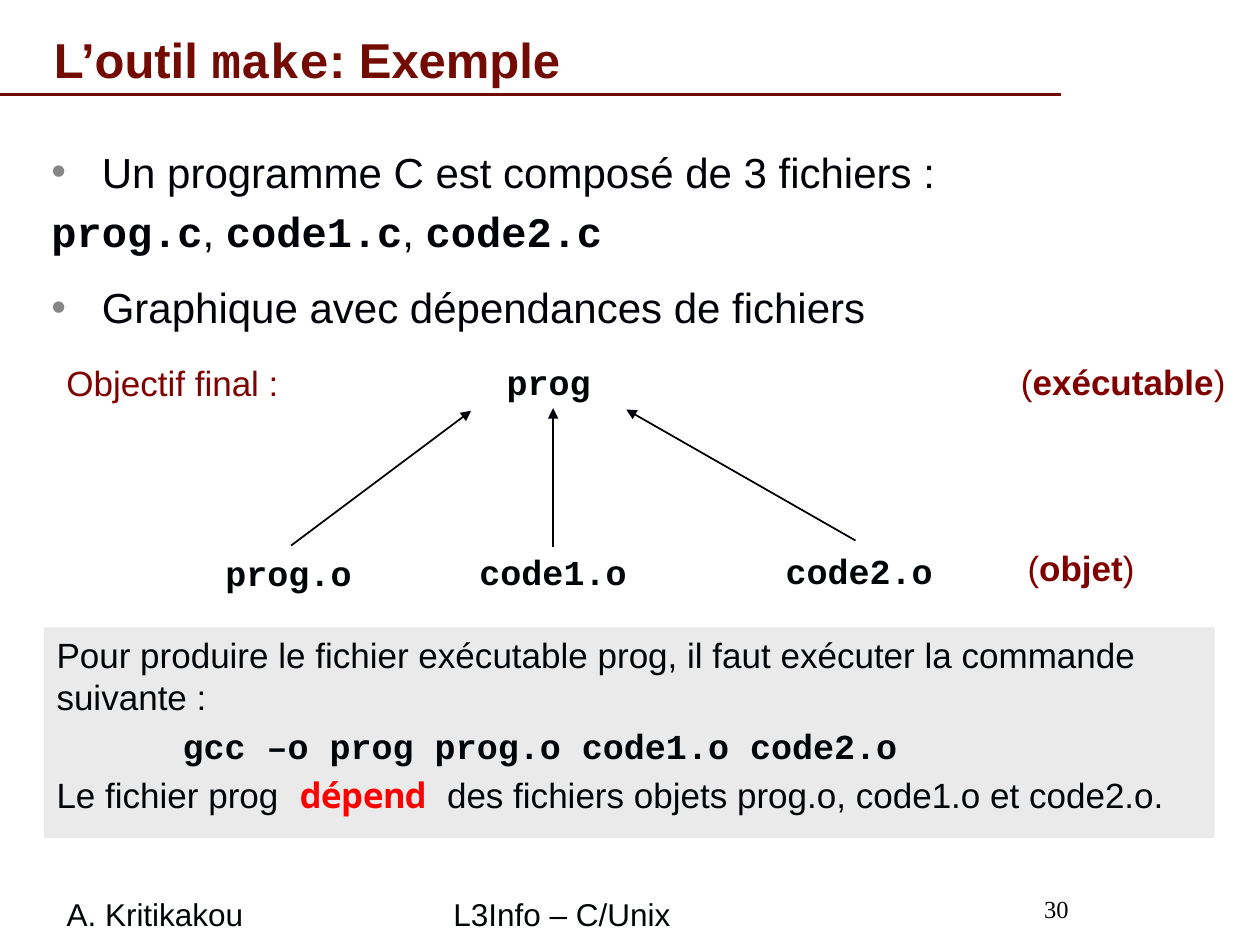
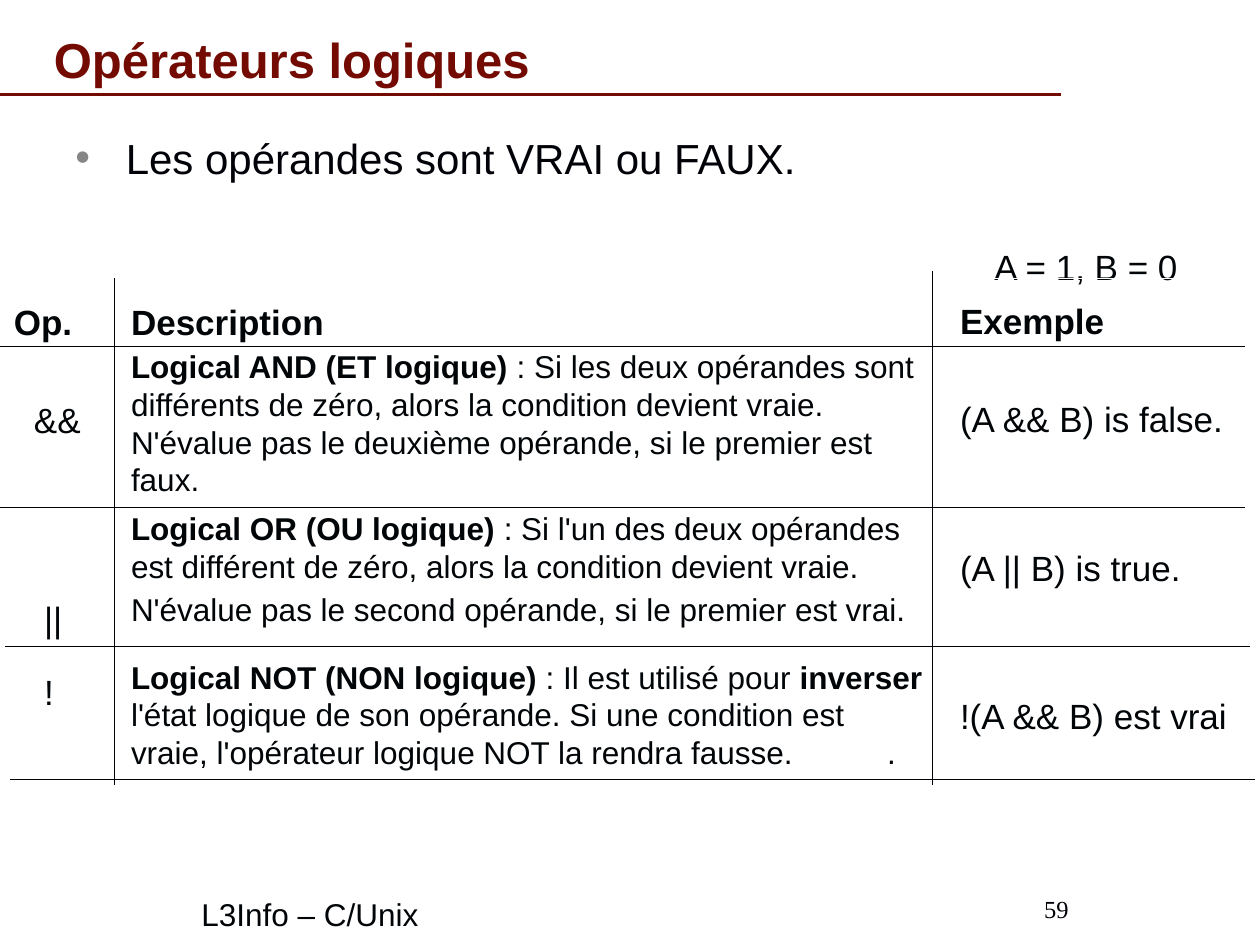
from dataclasses import dataclass, replace

from pptx import Presentation
from pptx.dml.color import RGBColor
from pptx.enum.shapes import MSO_CONNECTOR, MSO_SHAPE
from pptx.enum.text import MSO_ANCHOR, PP_ALIGN
from pptx.oxml.ns import qn
from pptx.util import Pt
from lxml.etree import SubElement

EMU_PER_PX = 9144
SLIDE_BOX = (0, 0, 1000, 750)
TABLE_SPACING = 1.07

MAROON = RGBColor(0x73, 0x0B, 0x03)
DARK_RED = RGBColor(0x80, 0x00, 0x00)
RED = RGBColor(0xFF, 0x00, 0x00)
INK = RGBColor(0x00, 0x02, 0x08)
TEXT = RGBColor(0x01, 0x05, 0x07)
BULLET_GREY = RGBColor(0x86, 0x86, 0x86)
PANEL_GREY = RGBColor(0xEA, 0xEA, 0xEA)


@dataclass(frozen=True)
class Style:
    size: int
    color: RGBColor = TEXT
    font: str = "Arial"
    bold: bool = False


TITLE = Style(28, MAROON, bold=True)
BODY = Style(24, INK)
BODY_CODE = Style(24, INK, "Courier New", True)
NORMAL = Style(20)
STRONG = replace(NORMAL, bold=True)
CODE = replace(STRONG, font="Courier New")
NOTE = Style(20, DARK_RED)
NOTE_STRONG = replace(NOTE, bold=True)
KEYWORD = Style(20, RED, "Noto Sans Mono", True)
DETAIL = Style(18)
DETAIL_STRONG = replace(DETAIL, bold=True)
PAGE_NUMBER = Style(14, INK, "Times New Roman")


@dataclass(frozen=True)
class Para:
    runs: tuple
    before: int = 0
    indent: int = 0
    bullet: bool = False
    tab: int = 0


def px(length):
    return length * EMU_PER_PX


def emu(*lengths):
    return [px(length) for length in lengths]


def add_bullet(properties):
    properties.set("marL", str(px(40)))
    properties.set("indent", str(px(-40)))
    color = SubElement(properties, qn("a:buClr"))
    SubElement(color, qn("a:srgbClr")).set("val", str(BULLET_GREY))
    SubElement(properties, qn("a:buFont")).set("typeface", "Arial")
    SubElement(properties, qn("a:buChar")).set("char", "•")


def write(frame, paras, align=PP_ALIGN.LEFT, spacing=1.0):
    for index, para in enumerate(paras):
        paragraph = frame.add_paragraph() if index else frame.paragraphs[0]
        properties = paragraph._p.get_or_add_pPr()
        if para.bullet:
            add_bullet(properties)
        elif para.indent:
            properties.set("marL", str(px(para.indent)))
        if para.tab:
            stop = SubElement(SubElement(properties, qn("a:tabLst")), qn("a:tab"))
            stop.set("pos", str(px(para.tab)))
            stop.set("algn", "l")
        paragraph.alignment = align
        paragraph.line_spacing = spacing
        paragraph.space_before = Pt(para.before)
        for words, style in para.runs:
            run = paragraph.add_run()
            run.text = words
            run.font.size = Pt(style.size)
            run.font.name = style.font
            run.font.bold = style.bold
            run.font.color.rgb = style.color


def set_frame(shape, paras, align, anchor):
    frame = shape.text_frame
    frame.word_wrap = True
    frame.vertical_anchor = anchor
    frame.margin_left = frame.margin_right = px(10)
    frame.margin_top = frame.margin_bottom = px(5)
    write(frame, paras, align)


def add_text(slide, box, paras, align=PP_ALIGN.LEFT, anchor=MSO_ANCHOR.TOP):
    set_frame(slide.shapes.add_textbox(*emu(*box)), paras, align, anchor)


def add_line(slide, start, end, color, width, arrow=False):
    line = slide.shapes.add_connector(MSO_CONNECTOR.STRAIGHT, *emu(*start, *end))
    line.line.color.rgb = color
    line.line.width = Pt(width)
    if arrow:
        SubElement(line.line._get_or_add_ln(), qn("a:tailEnd")).set("type", "triangle")
    SubElement(line._element.spPr, qn("a:effectLst"))


def add_frame(slide, box, title, footer, number):
    left, top, width, height = box
    bottom = top + height
    add_line(slide, (left, top + 75), (left + 842, top + 75), MAROON, 2.25)
    add_text(slide, (left + 33, top + 17, 850, 58), [Para(title)],
             anchor=MSO_ANCHOR.BOTTOM)
    add_text(slide, (left + 43, bottom - 50, 615, 50), [footer],
             anchor=MSO_ANCHOR.MIDDLE)
    add_text(slide, (left + 693, bottom - 50, 165, 42),
             [Para(((number, PAGE_NUMBER),))], PP_ALIGN.RIGHT, MSO_ANCHOR.MIDDLE)


def add_dependency_graph(slide, box):
    left, top, _, _ = box

    def in_brackets(word):
        return ("(", NOTE), (word, NOTE_STRONG), (")", NOTE)

    labels = [
        ((0, 1, 224, 54), (("Objectif final :", NOTE),)),
        ((317, 0, 187, 54), (("prog", CODE),)),
        ((750, 0, 233, 54), in_brackets("exécutable")),
        ((120, 152, 168, 45), (("prog.o", CODE),)),
        ((284, 151, 260, 45), (("code1.o", CODE),)),
        ((527, 150, 260, 45), (("code2.o", CODE),)),
        ((769, 148, 128, 45), in_brackets("objet")),
    ]
    for (x, y, width, height), runs in labels:
        add_text(slide, (left + x, top + y, width, height), [Para(runs)],
                 PP_ALIGN.CENTER)

    dependencies = [
        ((206, 152), (349, 45)),
        ((414, 153), (414, 43)),
        ((654, 148), (472, 44)),
    ]
    for (x1, y1), (x2, y2) in dependencies:
        add_line(slide, (left + x1, top + y1), (left + x2, top + y2), INK, 1, True)


def add_command_panel(slide, box):
    panel = slide.shapes.add_shape(MSO_SHAPE.RECTANGLE, *emu(*box))
    panel.shadow.inherit = False
    panel.fill.solid()
    panel.fill.fore_color.rgb = PANEL_GREY
    panel.line.fill.background()
    set_frame(panel, [
        Para((("Pour produire le fichier exécutable prog, il faut exécuter "
               "la commande suivante :", NORMAL),)),
        Para((("gcc –o prog prog.o code1.o code2.o", CODE),), before=4, indent=100),
        Para((("Le fichier prog", NORMAL), (" dépend ", KEYWORD),
              ("des fichiers objets prog.o, code1.o et code2.o.", NORMAL)), before=4),
    ], PP_ALIGN.LEFT, MSO_ANCHOR.TOP)


def add_operator_table(slide, box):
    left, top, width, height = box
    widths = (91, 649, 248)
    heights = (54, 128, 110, 106)
    rows = [
        [(11, 18, [Para((("Op.", STRONG),))]),
         (13, 18, [Para((("Description", STRONG),))]),
         (22, 17, [Para((("Exemple", STRONG),))])],
        [(27, 42, [Para((("&&", NORMAL),))]),
         (13, 1, [Para((
             ("Logical AND (ET logique) ", DETAIL_STRONG),
             (": Si les deux opérandes sont différents de zéro, alors la condition "
              "devient vraie. N'évalue pas le deuxième opérande, si le premier est "
              "faux.", DETAIL)))]),
         (22, 41, [Para((("(A && B) is false.", NORMAL),))])],
        [(35, 70, [Para((("||", NORMAL),))]),
         (13, 0, [
             Para((("Logical OR (OU logique) ", DETAIL_STRONG),
                   (": Si l'un des deux opérandes est différent de zéro, alors la "
                    "condition devient vraie.", DETAIL))),
             Para((("N'évalue pas le second opérande, si le premier est vrai.",
                    DETAIL),), before=3)]),
         (22, 30, [Para((("(A || B) is true.", NORMAL),))])],
        [(35, 18, [Para((("!", NORMAL),))]),
         (13, 8, [Para((
             ("Logical NOT (NON logique) ", DETAIL_STRONG),
             (": Il est utilisé pour ", DETAIL), ("inverser", DETAIL_STRONG),
             (" l'état logique de son opérande. Si une condition est vraie, "
              "l'opérateur logique NOT la rendra fausse.\t.", DETAIL)), tab=600)]),
         (22, 37, [Para((("!(A && B) est vrai", NORMAL),))])],
    ]
    table = slide.shapes.add_table(len(rows), len(widths), *emu(*box)).table
    table.first_row = table.horz_banding = False
    for column, column_width in zip(table.columns, widths):
        column.width = px(column_width)
    for row, row_height in zip(table.rows, heights):
        row.height = px(row_height)
    for row_index, row in enumerate(rows):
        for column_index, (indent, drop, paras) in enumerate(row):
            cell = table.cell(row_index, column_index)
            cell.fill.background()
            cell.margin_left, cell.margin_top = emu(indent, drop)
            cell.margin_right = px(4)
            cell.margin_bottom = 0
            cell.vertical_anchor = MSO_ANCHOR.TOP
            write(cell.text_frame, paras, spacing=TABLE_SPACING)

    for index, shift in enumerate((0, 0, 4, 8)):
        y = top + sum(heights[:index + 1])
        add_line(slide, (left + shift, y), (left + shift + width, y), INK, 0.5)
    for index, rise in enumerate((0, 6)):
        x = left + sum(widths[:index + 1])
        add_line(slide, (x, top - rise), (x, top + height + 4), INK, 0.5)


def build_make_slide(slide):
    add_frame(slide, SLIDE_BOX,
              (("L’outil ", TITLE), ("make", replace(TITLE, font="Courier New")),
               (": Exemple", TITLE)),
              Para((("A. Kritikakou\tL3Info – C/Unix", DETAIL),), tab=307), "30")
    add_text(slide, (31, 111, 992, 150), [
        Para((("Un programme C est composé de 3 fichiers :", BODY),), bullet=True),
        Para((("prog.c", BODY_CODE), (", ", BODY), ("code1.c", BODY_CODE),
              (", ", BODY), ("code2.c", BODY_CODE)), before=5),
        Para((("Graphique avec dépendances de fichiers", BODY),), before=15,
             bullet=True),
    ])
    add_dependency_graph(slide, (25, 281, 983, 197))
    add_command_panel(slide, (35, 498, 929, 167))


def build_operators_slide(slide):
    add_frame(slide, SLIDE_BOX, (("Opérateurs logiques", TITLE),),
              Para((("L3Info – C/Unix", DETAIL),), indent=107), "59")
    add_text(slide, (50, 100, 934, 94),
             [Para((("Les opérandes sont VRAI ou FAUX.", BODY),), bullet=True)])
    add_text(slide, (732, 190, 260, 44), [Para((("A = 1, B = 0", NORMAL),))],
             PP_ALIGN.CENTER)
    add_operator_table(slide, (0, 221, 988, 398))


def main():
    deck = Presentation()
    deck.slide_width, deck.slide_height = emu(*SLIDE_BOX[2:])
    blank = deck.slide_layouts[6]
    for build in (build_make_slide, build_operators_slide):
        build(deck.slides.add_slide(blank))
    deck.save("out.pptx")


if __name__ == "__main__":
    main()
